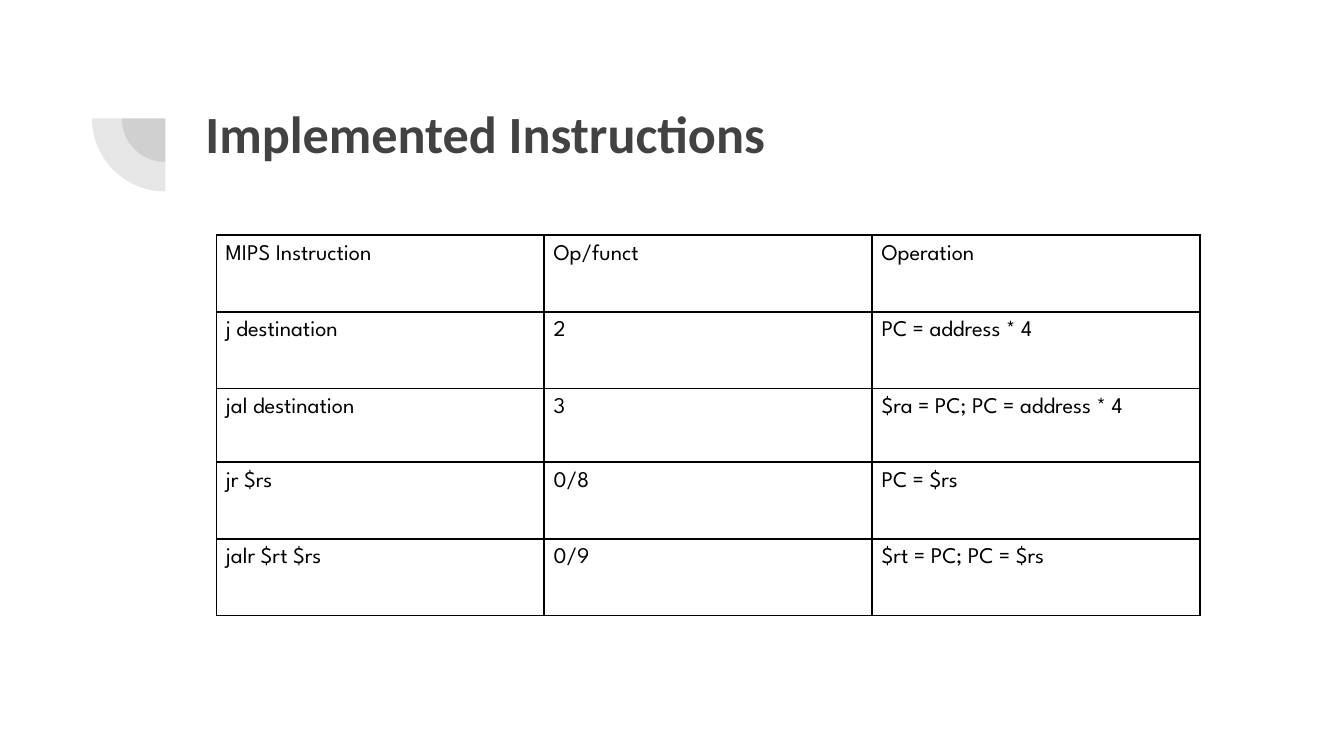
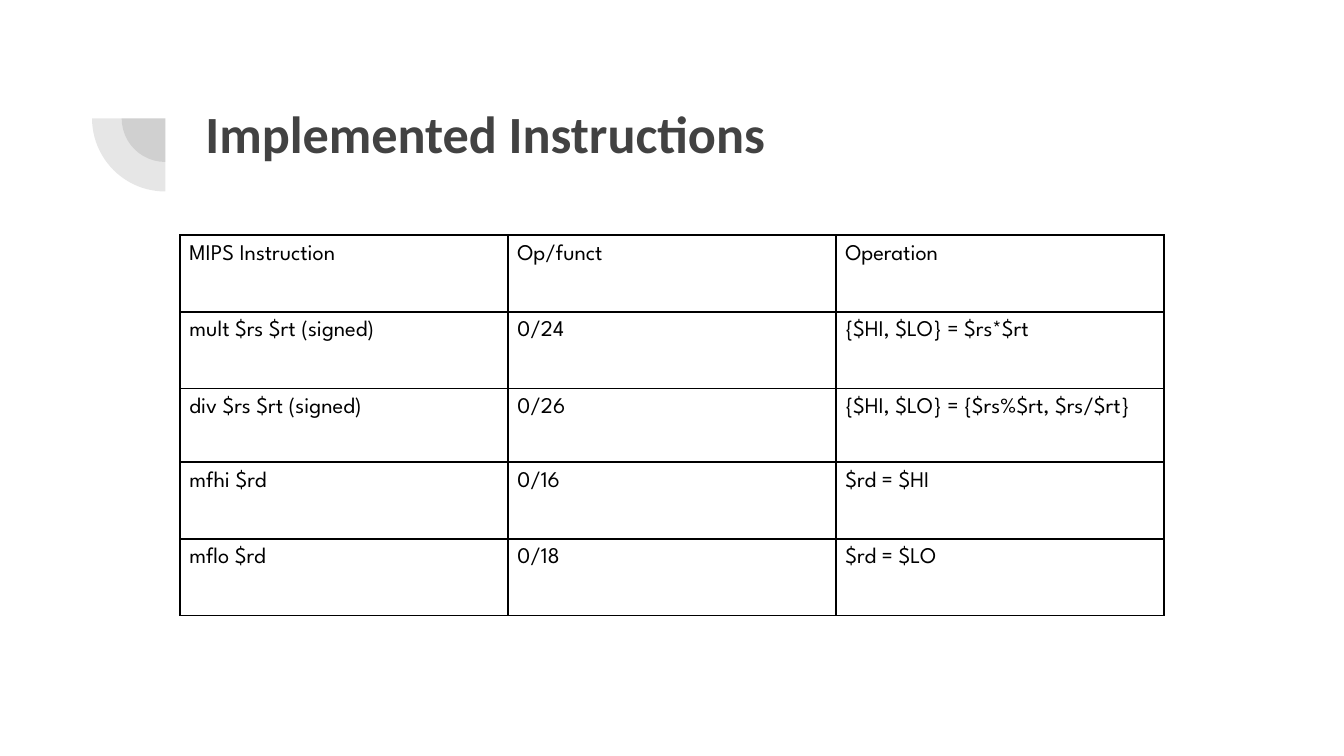
from lxml import etree
from pptx import Presentation
from pptx.dml.color import RGBColor
from pptx.enum.shapes import MSO_SHAPE
from pptx.enum.text import MSO_ANCHOR
from pptx.oxml.ns import qn
from pptx.util import Inches, Pt

PIE = MSO_SHAPE.PIE
TOP = MSO_ANCHOR.TOP
GREY = "424242"
BLACK = "000000"
TITLE_FONT = "Calibri"
TABLE_FONT = "League Spartan"

SLIDE_WIDTH = 10
PIE_CENTER = (1.23, 0.88)
PIE_SIZES = [0.65, 1.09]
COLUMN_WIDTH = 2.44
ROW_HEIGHTS = [0.57, 0.57, 0.55, 0.57, 0.57]
TABLE_TOP = 1.75
HEADER = ("MIPS Instruction", "Op/funct", "Operation")

# Each slide: left edge of the table, then its instructions
SLIDES = [
    (1.61, [
        ("j destination", "2", "PC = address * 4"),
        ("jal destination", "3", "$ra = PC; PC = address * 4"),
        ("jr $rs", "0/8", "PC = $rs"),
        ("jalr $rt $rs", "0/9", "$rt = PC; PC = $rs"),
    ]),
    (1.34, [
        ("mult $rs $rt (signed)", "0/24", "{$HI, $LO} = $rs*$rt"),
        ("div $rs $rt (signed)", "0/26", "{$HI, $LO} = {$rs%$rt, $rs/$rt}"),
        ("mfhi $rd", "0/16", "$rd = $HI"),
        ("mflo $rd", "0/18", "$rd = $LO"),
    ]),
]


def color(hex_string):
    return RGBColor.from_string(hex_string)


def write(paragraph, text, font_name, size, hex_string, bold):
    paragraph.text = text
    paragraph.font.name = font_name
    paragraph.font.size = Pt(size)
    paragraph.font.color.rgb = color(hex_string)
    paragraph.font.bold = bold


presentation = Presentation()
presentation.slide_width = Inches(SLIDE_WIDTH)
presentation.slide_height = Inches(SLIDE_WIDTH * 9 / 16)
blank_layout = presentation.slide_layouts[6]

for table_left, instructions in SLIDES:
    slide = presentation.slides.add_slide(blank_layout)

    # Two translucent quarter circles around one centre
    for size in PIE_SIZES:
        left, top = (Inches(center - size / 2) for center in PIE_CENTER)
        pie = slide.shapes.add_shape(PIE, left, top, Inches(size), Inches(size))
        pie.adjustments[0] = 108  # 180 degrees
        pie.adjustments[1] = 162  # 270 degrees
        pie.rotation = 270
        pie.shadow.inherit = False
        pie.line.fill.background()
        pie.fill.solid()
        pie.fill.fore_color.rgb = color(GREY)
        fill_color = pie.fill._xPr.find(qn("a:solidFill"))[0]
        etree.SubElement(fill_color, qn("a:alpha"), val="13000")

    title = slide.shapes.add_textbox(Inches(1.43), Inches(0.65), Inches(7.69), Inches(1.09))
    frame = title.text_frame
    frame.word_wrap = True
    frame.vertical_anchor = TOP
    frame.margin_left = frame.margin_right = Inches(0.1)
    frame.margin_top = frame.margin_bottom = Inches(0.1)
    write(frame.paragraphs[0], "Implemented Instructions", TITLE_FONT, 28, GREY, True)

    rows = [HEADER] + instructions
    table = slide.shapes.add_table(
        len(rows), len(HEADER), Inches(table_left), Inches(TABLE_TOP),
        Inches(COLUMN_WIDTH * len(HEADER)), Inches(sum(ROW_HEIGHTS))).table
    table.first_row = False
    table.horz_banding = False
    for column in table.columns:
        column.width = Inches(COLUMN_WIDTH)
    for row, height, texts in zip(table.rows, ROW_HEIGHTS, rows):
        row.height = Inches(height)
        for cell, text in zip(row.cells, texts):
            cell.margin_left = cell.margin_right = Inches(0.07)
            cell.margin_top = cell.margin_bottom = Inches(0.07)
            write(cell.text_frame.paragraphs[0], text, TABLE_FONT, 12, BLACK, False)
            properties = cell._tc.get_or_add_tcPr()
            for side in ("a:lnL", "a:lnR", "a:lnT", "a:lnB"):
                border = etree.SubElement(properties, qn(side), w=str(Pt(1)))
                border_fill = etree.SubElement(border, qn("a:solidFill"))
                etree.SubElement(border_fill, qn("a:srgbClr"), val=BLACK)
            cell.fill.background()

presentation.save("out.pptx")
